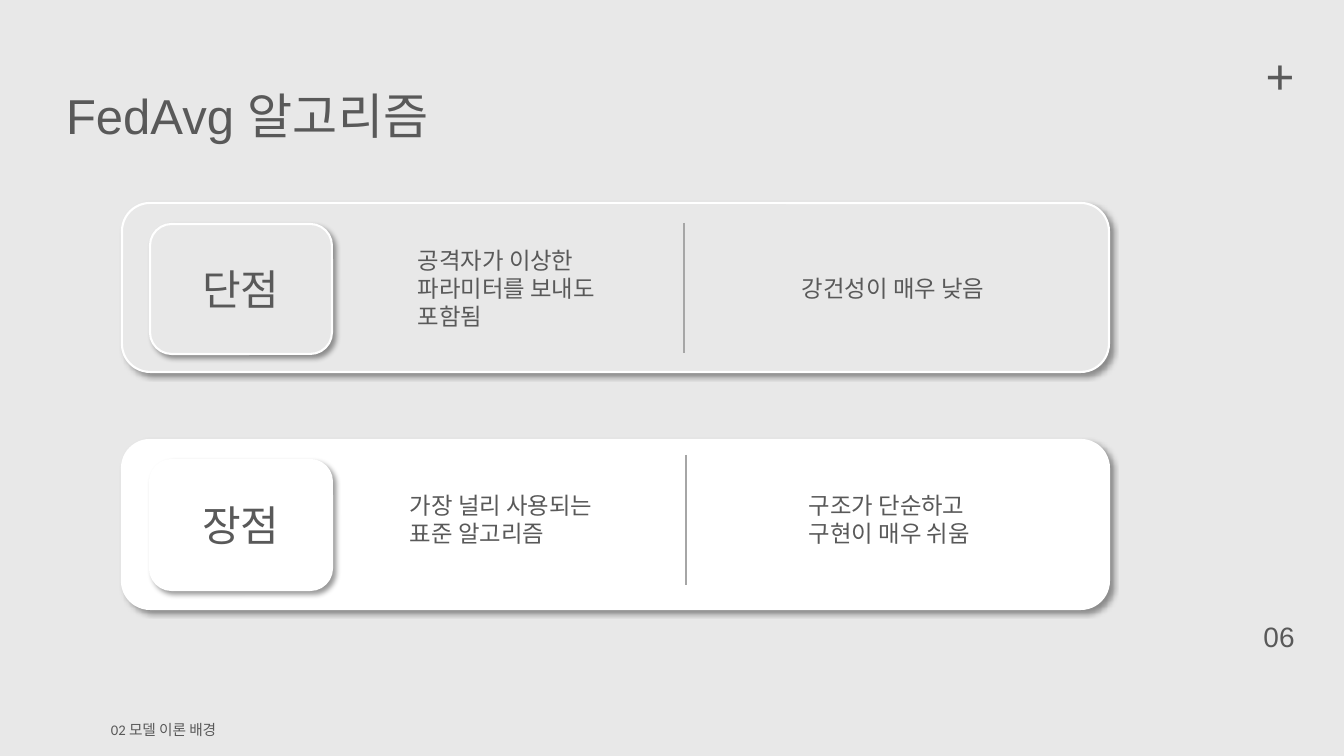
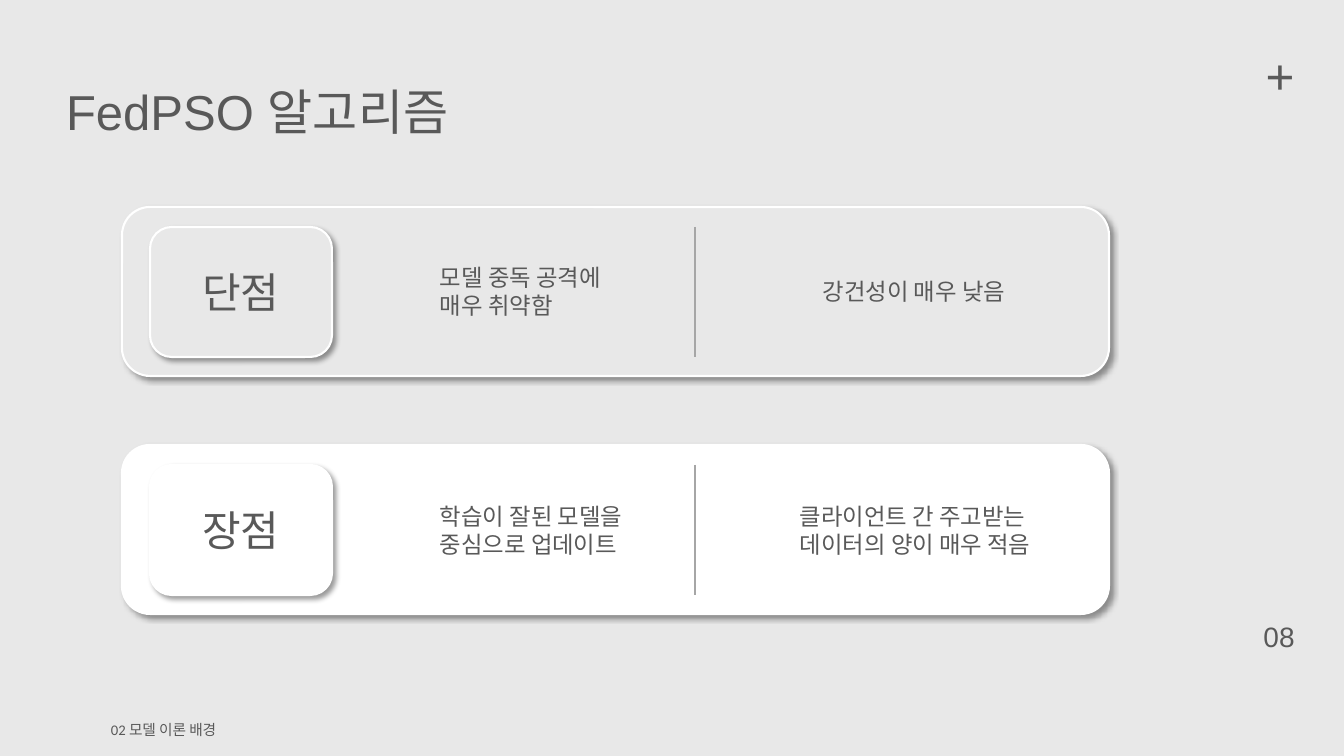
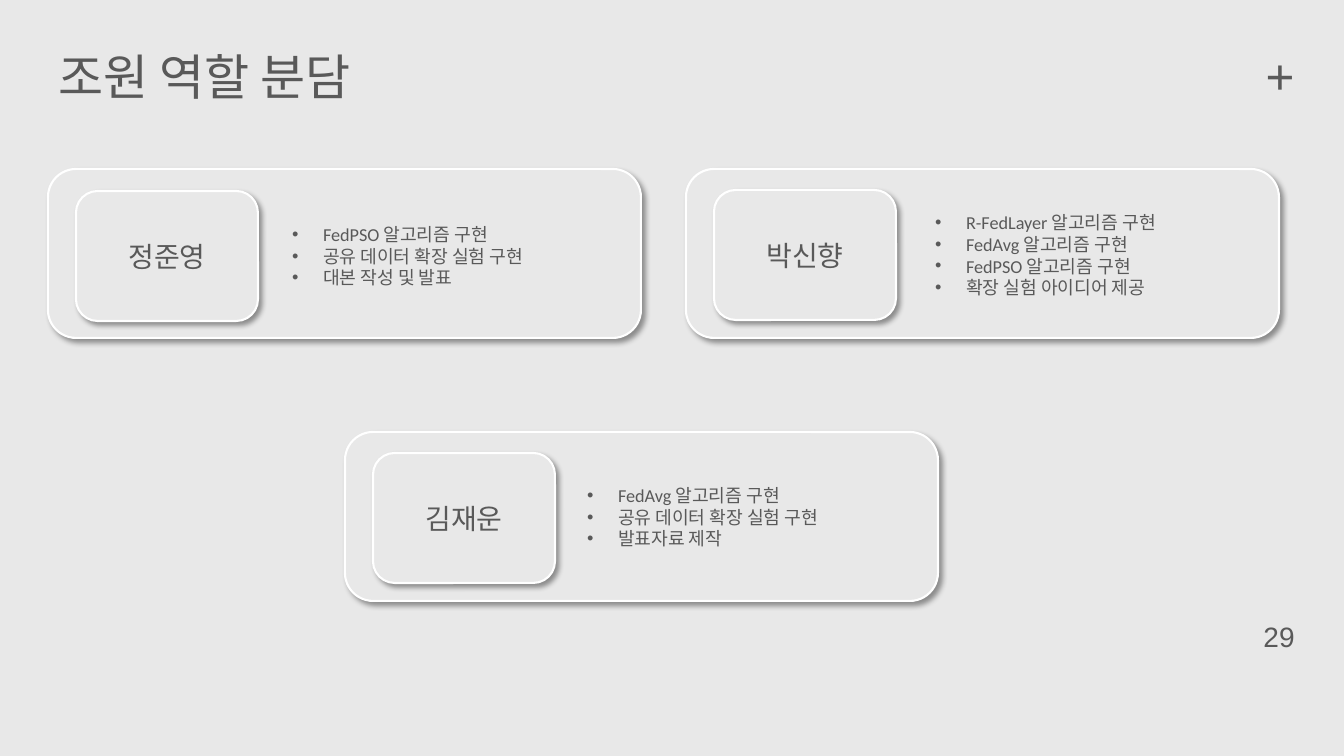
from lxml import etree
from pptx import Presentation
from pptx.dml.color import RGBColor
from pptx.enum.shapes import MSO_CONNECTOR, MSO_SHAPE
from pptx.enum.text import MSO_ANCHOR, MSO_AUTO_SIZE, PP_ALIGN
from pptx.oxml import parse_xml
from pptx.oxml.ns import nsdecls, qn
from pptx.util import Pt

PX = 12192000 // 1344
GREY = RGBColor(0xE8, 0xE8, 0xE8)
WHITE = RGBColor(0xFF, 0xFF, 0xFF)
INK = RGBColor(0x59, 0x59, 0x59)
RULE = RGBColor(0xA6, 0xA6, 0xA6)
CARD_HEIGHT = 169
BADGE_INSET, BADGE_WIDTH, BADGE_HEIGHT = 28, 182, 130
LIST_INDENT = 31
SHADOW = (
    f'<a:outerShdw {nsdecls("a")} blurRad="50800" dist="38100" dir="2700000" '
    'algn="tl" rotWithShape="0"><a:srgbClr val="000000">'
    '<a:alpha val="40000"/></a:srgbClr></a:outerShdw>'
)


def write(box, place, lines, size, align=PP_ALIGN.LEFT, anchor=MSO_ANCHOR.TOP):
    """Place a box and fill it; each line is a list of (text, font) spans."""
    box.left, box.top, box.width, box.height = (n * PX for n in place)
    frame = box.text_frame
    frame.word_wrap = True
    frame.auto_size = MSO_AUTO_SIZE.NONE
    frame.vertical_anchor = anchor
    for number, line in enumerate(lines):
        para = frame.add_paragraph() if number else frame.paragraphs[0]
        para.alignment = align
        para.space_before = Pt(0)
        for text, font in line:
            span = para.add_run()
            span.text = text
            span.font.name = font
            span.font.size = Pt(size)
            span.font.bold = False
            span.font.color.rgb = INK


def add_card(page, left, top, width, badge_top, label, size, color):
    """Draw a raised card with a labelled badge at its left end."""
    card_place = (left, top, width, CARD_HEIGHT)
    badge_place = (left + BADGE_INSET, badge_top, BADGE_WIDTH, BADGE_HEIGHT)
    for place, lines in ((card_place, []), (badge_place, [[(label, "Arial")]])):
        panel = page.shapes.add_shape(
            MSO_SHAPE.ROUNDED_RECTANGLE, *(n * PX for n in place))
        panel.fill.solid()
        panel.fill.fore_color.rgb = color
        panel.line.color.rgb = WHITE
        panel.line.width = Pt(1.5)
        panel.shadow.inherit = False
        panel.element.spPr.find(qn("a:effectLst")).append(parse_xml(SHADOW))
        write(panel, place, lines, size, PP_ALIGN.CENTER, MSO_ANCHOR.MIDDLE)


deck = Presentation()
deck.slide_width, deck.slide_height = 1344 * PX, 756 * PX
deck.slide_master.background.fill.solid()
deck.slide_master.background.fill.fore_color.rgb = GREY
TITLE_ONLY, COMPARISON = deck.slide_layouts[5], deck.slide_layouts[4]

# Title, page number and plus sign of every page
pages = []
for layout, title, title_place, number in (
    (TITLE_ONLY, "FedAvg 알고리즘", (56, 80, 783, 70), "06"),
    (TITLE_ONLY, "FedPSO 알고리즘", (56, 76, 783, 70), "08"),
    (COMPARISON, "조원 역할 분담", (48, 41, 438, 70), "29"),
):
    page = deck.slides.add_slide(layout)
    write(page.shapes.title, title_place, [[(title, "Arial")]], 35)
    for text, place, size in (
        (number, (1231, 615, 96, 44), 20),
        ("+", (1247, 40, 66, 71), 35.3),
    ):
        box = page.shapes.add_textbox(0, 0, 0, 0)
        write(box, place, [[(text, "Arial")]], size, PP_ALIGN.CENTER)
    pages.append(page)
*algorithm_pages, team_page = pages

# Algorithm pages: card top, badge top, label, colour, divider, two remarks
algorithm_rows = (
    (
        (440, 460, "장점", WHITE, (686, 455),
         ("가장 널리 사용되는 표준 알고리즘", (400, 486, 222, 67)),
         ("구조가 단순하고 구현이 매우 쉬움", (799, 486, 212, 95))),
        (203, 224, "단점", GREY, (684, 223),
         ("공격자가 이상한 파라미터를 보내도 포함됨", (408, 241, 215, 95)),
         ("강건성이 매우 낮음", (792, 269, 226, 38))),
    ),
    (
        (445, 465, "장점", WHITE, (695, 465),
         ("학습이 잘된 모델을 중심으로 업데이트", (430, 497, 242, 67)),
         ("클라이언트 간 주고받는 데이터의 양이 매우 적음", (790, 497, 274, 67))),
        (207, 227, "단점", GREY, (695, 227),
         ("모델 중독 공격에 매우 취약함", (430, 258, 212, 67)),
         ("강건성이 매우 낮음", (813, 272, 247, 38))),
    ),
)
for page, rows in zip(algorithm_pages, algorithm_rows):
    footer = page.shapes.add_textbox(0, 0, 0, 0)
    write(footer, (101, 716, 306, 29),
          [[("02 ", "Calibri"), ("모델 이론 배경", "Arial")]], 10.5)
    for top, badge_top, label, color, (x, y), *remarks in rows:
        add_card(page, 122, top, 987, badge_top, label, 30, color)
        divider = page.shapes.add_connector(
            MSO_CONNECTOR.STRAIGHT, x * PX, y * PX, x * PX, (y + BADGE_HEIGHT) * PX)
        divider.line.color.rgb = RULE
        divider.line.width = Pt(1.5)
        etree.SubElement(divider.element.spPr, qn("a:effectLst"))
        for text, place in remarks:
            box = page.shapes.add_textbox(0, 0, 0, 0)
            write(box, place, [[(text, "Calibri")]], 16.7)

# Team page: one card and one bulleted list per member
members = (
    ("정준영", 48, 169, 191, (282, 218, 340, 77),
     ("FedPSO 알고리즘 구현", "공유 데이터 확장 실험 구현", "대본 작성 및 발표")),
    ("박신향", 686, 169, 190, (925, 206, 342, 120),
     ("R-FedLayer 알고리즘 구현", "FedAvg 알고리즘 구현",
      "FedPSO 알고리즘 구현", "확장 실험 아이디어 제공")),
    ("김재운", 345, 432, 453, (577, 479, 342, 77),
     ("FedAvg 알고리즘 구현", "공유 데이터 확장 실험 구현", "발표자료 제작")),
)
_, *bodies = team_page.placeholders
for body, (name, left, top, badge_top, place, tasks) in zip(bodies, members):
    add_card(team_page, left, top, 593, badge_top, name, 20, GREY)
    team_page.shapes.element.append(body.element)  # bring the list in front
    write(body, place, [[(task, "Calibri")] for task in tasks], 13)
    for para in body.text_frame.paragraphs:
        properties = para._p.get_or_add_pPr()
        properties.set("marL", str(LIST_INDENT * PX))
        properties.set("indent", str(-LIST_INDENT * PX))
        etree.SubElement(properties, qn("a:buFont"), typeface="Arial")
        etree.SubElement(properties, qn("a:buChar"), char="•")
for spare in bodies[len(members):]:
    spare.element.getparent().remove(spare.element)

deck.save("out.pptx")
